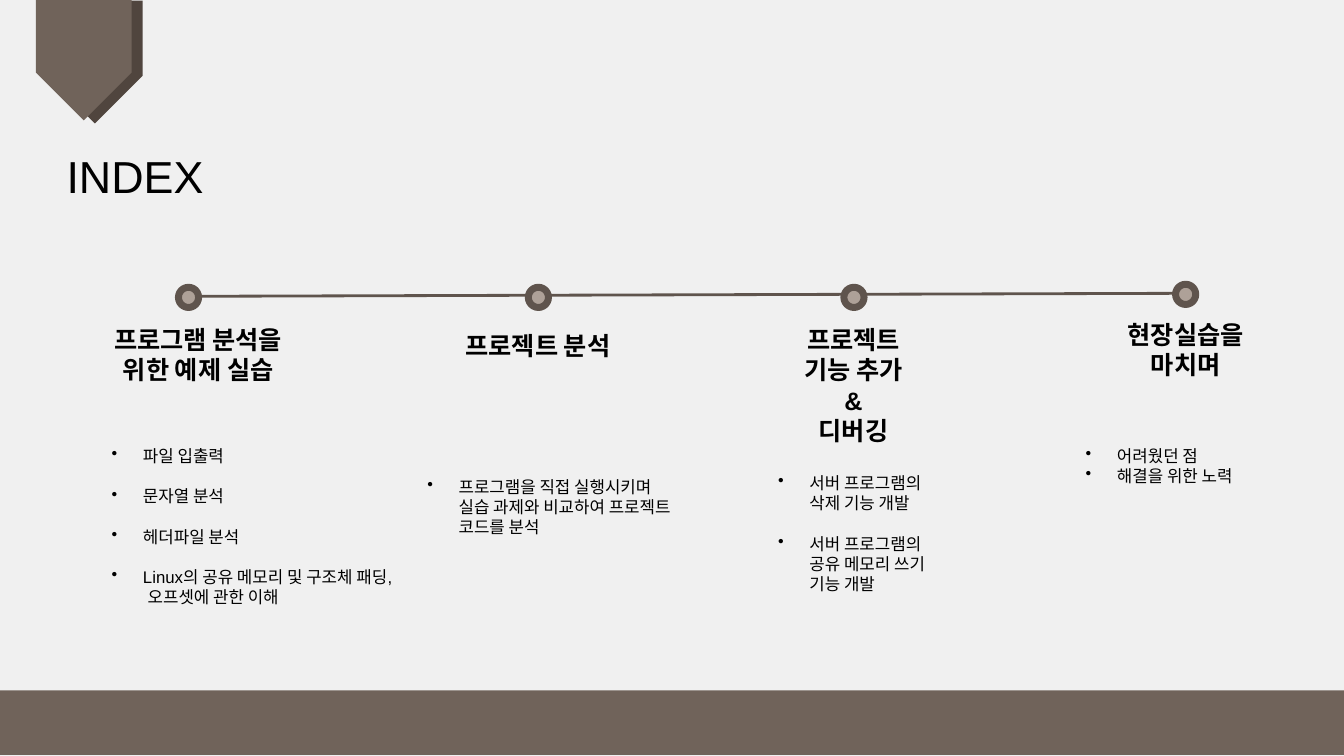
"""Index slide: a four-stop timeline with headings and bullet lists."""
from lxml.etree import SubElement
from pptx import Presentation
from pptx.dml.color import RGBColor
from pptx.enum.shapes import MSO_CONNECTOR, MSO_SHAPE
from pptx.enum.text import PP_ALIGN
from pptx.oxml.ns import qn
from pptx.util import Inches, Pt

COLORS = {name: RGBColor.from_string(value) for name, value in {
    "paper": "F0F0F0", "brown": "70635A", "shade": "50453E",
    "line": "5F544D", "dot": "AEA198", "ink": "000000"}.items()}

deck = Presentation()
deck.slide_width, deck.slide_height = Inches(13.33), Inches(7.5)
page = deck.slides.add_slide(deck.slide_layouts[6])
column, row = deck.slide_width / 100, deck.slide_height / 100
indent = Inches(0.31)


def add_block(kind, area, color):
    left, top, width, height = area
    block = page.shapes.add_shape(kind, int(left * column), int(top * row),
                                  int(width * column), int(height * row))
    block.shadow.inherit = False
    block.fill.solid()
    block.fill.fore_color.rgb = COLORS[color]
    block.line.fill.background()
    return block


def add_text(area, lines, size, bold=False, bullets=False, gap=0):
    left, top, width, height = area
    box = page.shapes.add_textbox(int(left * column), int(top * row),
                                  int(width * column), int(height * row))
    box.text_frame.word_wrap = True
    box.text_frame.text = "\n".join(lines)
    for number, para in enumerate(box.text_frame.paragraphs):
        if bullets:
            properties = para._p.get_or_add_pPr()
            properties.set("marL", str(indent))
            properties.set("indent", str(-indent))
            SubElement(properties, qn("a:buChar")).set("char", "•")
        else:
            para.alignment = PP_ALIGN.CENTER
        if number and gap:
            para.space_before = Pt(gap)
        for span in para.runs:
            span.font.name = "Arial"
            span.font.size = Pt(size)
            span.font.bold = bold
            span.font.color.rgb = COLORS["ink"]


add_block(MSO_SHAPE.RECTANGLE, (-0.45, 0, 100.45, 100), "paper")
for area, color in [((2.48, 1.87, 9.15, 12.67), "shade"),
                    ((1.73, 1.6, 9, 12.67), "brown")]:
    add_block(MSO_SHAPE.PENTAGON, area, color).rotation = 90
add_text((2.63, 19.07, 14.85, 8.53), ["INDEX"], 32)

timeline = page.shapes.add_connector(
    MSO_CONNECTOR.STRAIGHT, int(13.65 * column), int(39.2 * row),
    int(87.7 * column), int(38.8 * row))
timeline.line.color.rgb = COLORS["line"]
timeline.line.width = Pt(2)
SubElement(timeline._element.spPr, qn("a:effectLst"))

for left, top in [(13.28, 38), (39.31, 38), (62.79, 38), (87.47, 37.6)]:
    dot = add_block(MSO_SHAPE.OVAL, (left, top, 1.5, 2.67), "dot")
    dot.line.color.rgb = COLORS["line"]
    dot.line.width = Pt(5)

headings = [
    ((6.9, 42.27, 15.68, 9.47), ["프로그램 분석을 위한 예제 실습"]),
    ((32.26, 43.07, 15.53, 5.33), ["프로젝트 분석"]),
    ((58.36, 42.27, 10.28, 17.47), ["프로젝트 기능 추가 &", "디버깅"]),
    ((82.22, 41.6, 12, 9.47), ["현장실습을 마치며"]),
]
for area, lines in headings:
    add_text(area, lines, 18, bold=True)

add_block(MSO_SHAPE.RECTANGLE, (-0.45, 91.33, 100.45, 8.53), "brown")

details = [
    ((7.58, 58.27, 22.28, 28.27), 14.5,
     ["파일 입출력", "문자열 분석", "헤더파일 분석",
      "Linux의 공유 메모리 및 구조체 패딩, 오프셋에 관한 이해"]),
    ((31.06, 62.4, 19.65, 14.8), 0,
     ["프로그램을 직접 실행시키며 실습 과제와 비교하여 프로젝트 코드를 분석"]),
    ((57.16, 61.87, 14.18, 20.13), 14.5,
     ["서버 프로그램의 삭제 기능 개발",
      "서버 프로그램의 공유 메모리 쓰기 기능 개발"]),
    ((80.05, 58.27, 18.6, 6.67), 0, ["어려웠던 점", "해결을 위한 노력"]),
]
for area, gap, lines in details:
    add_text(area, lines, 12, bullets=True, gap=gap)

deck.save("out.pptx")
